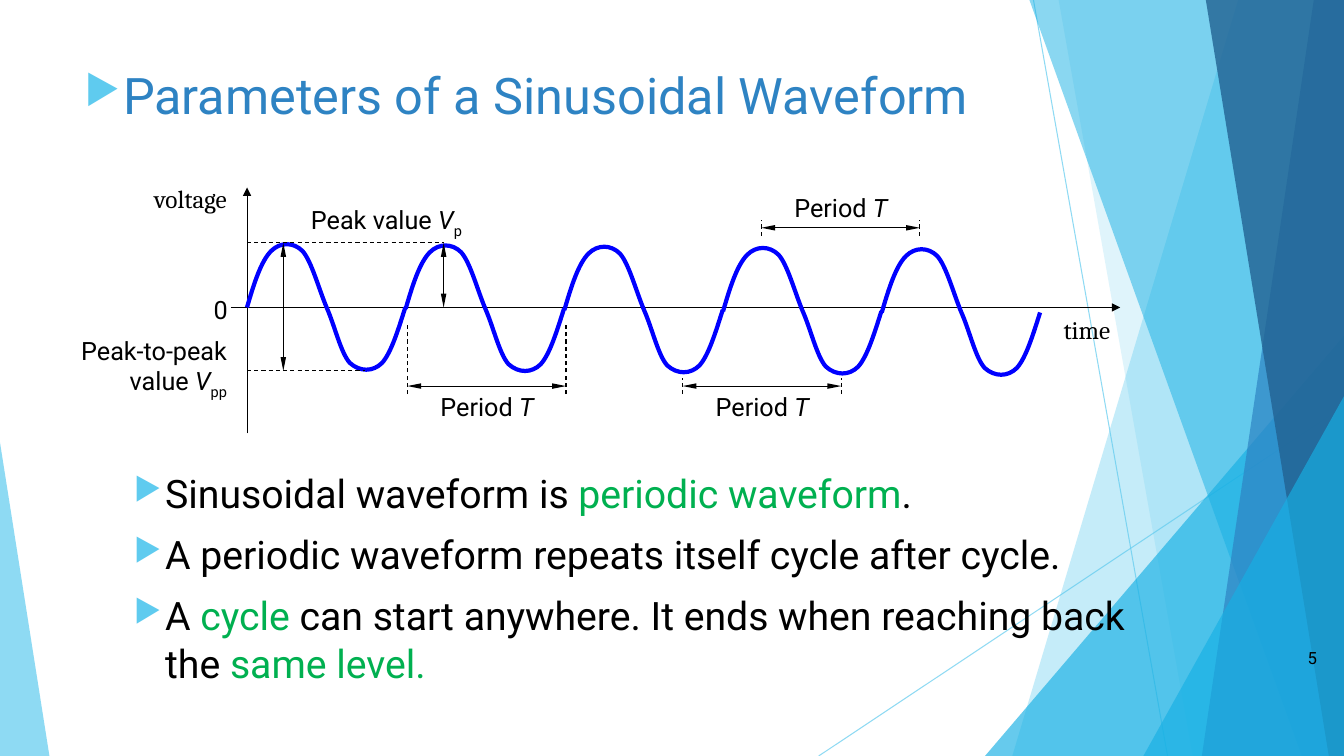
from dataclasses import dataclass

from lxml.etree import SubElement as Sub
from pptx import Presentation
from pptx.dml.color import RGBColor as RGB
from pptx.enum.dml import MSO_LINE as Dash
from pptx.enum.shapes import MSO_CONNECTOR as Conn, MSO_SHAPE as Shape
from pptx.enum.text import MSO_ANCHOR as Anchor, MSO_AUTO_SIZE as Auto, PP_ALIGN as Align
from pptx.oxml.ns import qn
from pptx.util import Inches, Pt


@dataclass(frozen=True)
class Theme:
    sans: str = "Roboto"
    serif: str = "Cambria"
    mark: str = "OpenSymbol"
    ink: str = "000000"
    key: str = "00B050"
    wave: str = "0000FF"
    sky: str = "5FCBEF"
    cyan: str = "17B0E4"
    blue: str = "2E83C3"
    navy: str = "226292"
    title: int = 36
    body: int = 28
    label: int = 18
    small: int = 12
    thin: float = 0.75
    thick: float = 3


T = Theme()
WIDE, HIGH = 13.33, 7.5
ZERO_X, ZERO_Y = 2.45, 3.05
PEAK, DIP = 2.41, 3.68
CYCLES = 5
CYCLE = (10.32 - ZERO_X) / CYCLES
DRIFT = 0.05 / (CYCLES - 1)

# One cycle of the wave as Bezier points: a start, then three per curve
CURVE = [(2.45, 3.05), (2.52, 2.81), (2.59, 2.59), (2.69, 2.49),
         (2.78, 2.4), (2.91, 2.4), (3, 2.49),
         (3.09, 2.59), (3.16, 2.86), (3.24, 3.05),
         (3.32, 3.23), (3.38, 3.5), (3.47, 3.6),
         (3.57, 3.69), (3.7, 3.69), (3.79, 3.6),
         (3.88, 3.5), (3.95, 3.27), (4.02, 3.05)]


def fade(part, alpha):
    for color in part.iter(qn("a:srgbClr")):
        Sub(color, qn("a:alpha"), val=str(alpha * 1000))


def line(slide, start, end, color=T.ink, dash=False, alpha=100, tips=()):
    item = slide.shapes.add_connector(Conn.STRAIGHT, *map(Inches, start + end))
    item.line.color.rgb = RGB.from_string(color)
    item.line.width = Pt(T.thin)
    if dash:
        item.line.dash_style = Dash.DASH
    stroke = item.line._get_or_add_ln()
    size = {"w": "sm", "len": "lg"} if len(tips) == 2 else {}
    for tip in tips:
        Sub(stroke, qn("a:" + tip), type="triangle", **size)
    if alpha < 100:
        fade(stroke, alpha)
    Sub(item._element.spPr, qn("a:effectLst"))


def axis(slide, start, end):
    line(slide, start, end, tips=("tailEnd",))


def gauge(slide, start, end):
    line(slide, start, end, tips=("headEnd", "tailEnd"))


def path(slide, points, close):
    spots = [(Inches(x), Inches(y)) for x, y in points]
    form = slide.shapes.build_freeform(*spots[0])
    form.add_line_segments(spots[1:], close=close)
    item = form.convert_to_shape()
    item.shadow.inherit = False
    return item


def bend(item):
    """Turn each three straight steps of an outline into one curve."""
    steps = list(item._element.iter(qn("a:lnTo")))
    for i in range(0, len(steps), 3):
        curve = Sub(steps[i].getparent(), qn("a:cubicBezTo"))
        for step in steps[i:i + 3]:
            curve.append(step[0])
            step.getparent().remove(step)


def paint(item, color, alpha):
    item.fill.solid()
    item.fill.fore_color.rgb = RGB.from_string(color)
    item.line.fill.background()
    fade(item._element.spPr, alpha)


def facet(slide, top_x, foot_x, color, alpha):
    points = [(top_x, 0), (WIDE, 0), (WIDE, HIGH), (foot_x, HIGH)]
    paint(path(slide, points, True), color, alpha)


def wedge(slide, left, top, width, tip, color, alpha):
    item = slide.shapes.add_shape(Shape.ISOSCELES_TRIANGLE, *map(
        Inches, (left, top, width, HIGH - top)))
    item.shadow.inherit = False
    item.adjustments[0] = tip
    paint(item, color, alpha)


def bullet(para, margin, indent):
    props = para._p.get_or_add_pPr()
    props.set("marL", str(Inches(margin)))
    props.set("indent", str(-Inches(indent)))
    Sub(Sub(props, qn("a:buClr")), qn("a:srgbClr"), val=T.sky)
    Sub(props, qn("a:buSzPct"), val="80000")
    Sub(props, qn("a:buFont"), typeface=T.mark)
    Sub(props, qn("a:buChar"), char="▶")


def write(para, runs, size, font=T.sans):
    """Each run is a text and a style: a colour, "i" for italic or "sub"."""
    for text, style in runs:
        run = para.add_run()
        run.text = text
        run.font.name, run.font.size = font, Pt(size)
        run.font.italic = style == "i"
        run.font.color.rgb = RGB.from_string(T.ink if style in ("i", "sub") else style)
        if style == "sub":
            run.font._element.set("baseline", "-25000")


def box(slide, at):
    frame = slide.shapes.add_textbox(*map(Inches, at)).text_frame
    frame.word_wrap = True
    return frame


def label(slide, at, runs, align=Align.LEFT, font=T.sans):
    para = box(slide, at).paragraphs[0]
    para.alignment = align
    write(para, runs, T.label, font)


def period(slide, left, y, rise=0.08, above=False):
    right = left + CYCLE
    gauge(slide, (left, y), (right, y))
    for x in (left, right):
        line(slide, (x, y + 0.08), (x, y - rise), dash=True)
    label(slide, (left + 0.08, y - 0.4 if above else y, 1.42, 0.4),
          [("Period ", T.ink), ("T", "i")], Align.CENTER)


def wave(slide, turn):
    item = path(slide, [(x + turn * CYCLE, y + turn * DRIFT) for x, y in CURVE], False)
    bend(item)
    item.fill.background()
    item.line.color.rgb = RGB.from_string(T.wave)
    item.line.width = Pt(T.thick)


def decor(slide):
    line(slide, (10.25, 0), (11.58, HIGH), T.sky, alpha=70)
    line(slide, (WIDE, 4.03), (8.12, HIGH), T.sky, alpha=70)
    facet(slide, 12.28, 10.04, T.sky, 36)
    facet(slide, 10.5, 11.83, T.sky, 20)
    wedge(slide, 9.77, 3.33, 3.56, 1, T.cyan, 66)
    facet(slide, 10.21, 12.91, T.cyan, 50)
    facet(slide, 13.03, 11.92, T.blue, 70)
    facet(slide, 11.96, 13.18, T.navy, 80)
    wedge(slide, 11.34, 3.93, 1.99, 1, T.cyan, 66)
    wedge(slide, 0, 4.39, 0.49, 0, T.sky, 70)


def heading(slide):
    item = slide.shapes.title
    item.left, item.top, item.width, item.height = map(Inches, (0.74, 0.59, 11.11, 0.93))
    frame = item.text_frame
    frame.auto_size = Auto.NONE
    frame.vertical_anchor = Anchor.TOP
    para = frame.paragraphs[0]
    para.alignment = Align.LEFT
    bullet(para, 0.38, 0.38)
    write(para, [("Parameters of a Sinusoidal Waveform", T.blue)], T.title)


def graph(slide):
    # Axes
    axis(slide, (ZERO_X, 4.3), (ZERO_X, 1.86))
    axis(slide, (2.29, ZERO_Y), (11.11, ZERO_Y))
    label(slide, (1.43, 1.77, 1.02, 0.4), [("voltage", T.ink)], font=T.serif)
    label(slide, (10.45, 3.07, 0.86, 0.4), [("time", T.ink)], font=T.serif)
    label(slide, (2.02, 2.87, 0.35, 0.4), [("0", T.ink)])
    for turn in range(CYCLES):
        wave(slide, turn)
    # Peak and peak-to-peak values
    gauge(slide, (4.4, PEAK), (4.4, ZERO_Y))
    gauge(slide, (2.81, PEAK), (2.81, DIP))
    line(slide, (ZERO_X, DIP), (3.62, DIP), dash=True)
    line(slide, (ZERO_X, PEAK), (4.4, PEAK), dash=True)
    label(slide, (2.67, 1.98, 2.01, 0.4),
          [("Peak value ", T.ink), ("V", "i"), ("p", "sub")], Align.RIGHT)
    label(slide, (0.5, 3.28, 1.85, 0.7),
          [("Peak-to-peak value ", T.ink), ("V", "i"), ("pp", "sub")], Align.RIGHT)
    # Periods
    period(slide, 4.04, 3.83, rise=0.63)
    period(slide, 6.77, 3.83)
    period(slide, 7.55, 2.26, above=True)


def notes(slide):
    frame = box(slide, (0.73, 4.61, 11.11, 2.27))
    points = [
        [("Sinusoidal waveform is ", T.ink), ("periodic waveform", T.key), (".", T.ink)],
        [("A periodic waveform repeats itself cycle after cycle.", T.ink)],
        [("A ", T.ink), ("cycle", T.key),
         (" can start anywhere. It ends when reaching back the ", T.ink),
         ("same level.", T.key)]]
    for i, runs in enumerate(points):
        para = frame.add_paragraph() if i else frame.paragraphs[0]
        bullet(para, 0.81, 0.31)
        if i:
            para.space_before = Pt(10)
        write(para, runs, T.body)


def folio(slide):
    frame = box(slide, (12.41, 6.33, 0.75, 0.4))
    frame.vertical_anchor = Anchor.MIDDLE
    frame.paragraphs[0].alignment = Align.RIGHT
    write(frame.paragraphs[0], [("5", T.ink)], T.small)


def main():
    deck = Presentation()
    deck.slide_width, deck.slide_height = Inches(WIDE), Inches(HIGH)
    slide = deck.slides.add_slide(deck.slide_layouts[5])
    for part in (decor, heading, graph, notes, folio):
        part(slide)
    deck.save("out.pptx")


if __name__ == "__main__":
    main()
